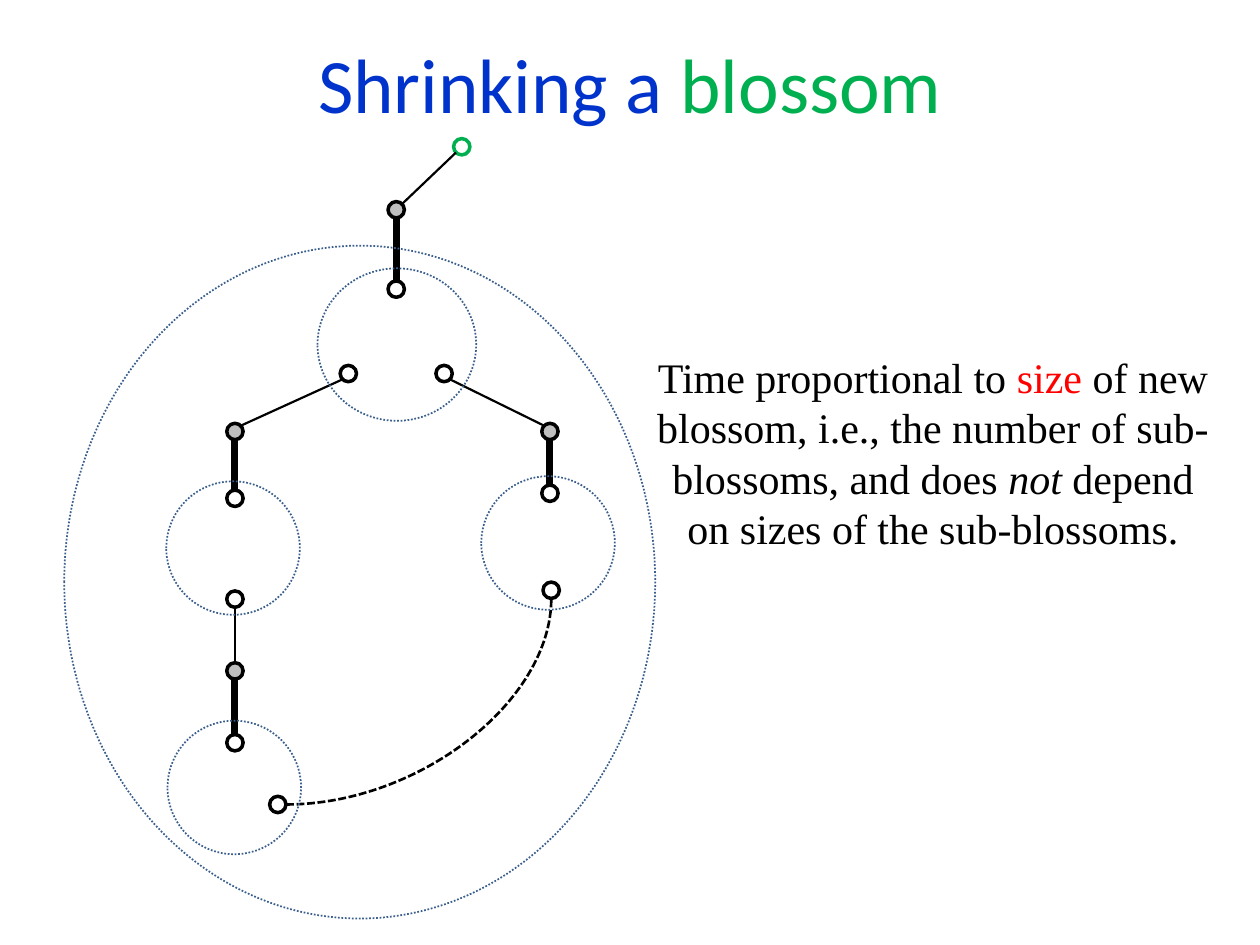
from math import hypot

from lxml.etree import SubElement
from pptx import Presentation
from pptx.dml.color import RGBColor
from pptx.enum.dml import MSO_LINE
from pptx.enum.shapes import MSO_CONNECTOR, MSO_SHAPE
from pptx.enum.text import MSO_ANCHOR, MSO_AUTO_SIZE, PP_ALIGN
from pptx.oxml.ns import qn
from pptx.util import Inches, Pt

WHITE = RGBColor(0xFF, 0xFF, 0xFF)
BLACK = RGBColor(0x00, 0x00, 0x00)
GRAY = RGBColor(0xBF, 0xBF, 0xBF)
GREEN = RGBColor(0x00, 0xB0, 0x50)
BLUE = RGBColor(0x00, 0x33, 0xCC)
RED = RGBColor(0xFF, 0x00, 0x00)
OUTLINE = RGBColor(0x3A, 0x5F, 0x8C)

NODE = 0.13  # node diameter in inches

# Positions in the tree, in inches from its top left corner
NODES = {
    "root": (3.09, 0, WHITE, GREEN),
    "stem": (2.57, 0.5, GRAY, BLACK),
    "base": (2.57, 1.13, WHITE, BLACK),
    "base left": (2.19, 1.8, WHITE, BLACK),
    "base right": (2.95, 1.8, WHITE, BLACK),
    "left outer": (1.29, 2.26, GRAY, BLACK),
    "left top": (1.29, 2.79, WHITE, BLACK),
    "left bottom": (1.29, 3.59, WHITE, BLACK),
    "low outer": (1.29, 4.16, GRAY, BLACK),
    "low top": (1.29, 4.73, WHITE, BLACK),
    "low exit": (1.63, 5.22, WHITE, BLACK),
    "right outer": (3.79, 2.26, GRAY, BLACK),
    "right top": (3.79, 2.75, WHITE, BLACK),
    "right bottom": (3.8, 3.52, WHITE, BLACK),
}
BLOSSOMS = [
    (0.81, 2.72, 1.06, 1.06),
    (2.01, 1.03, 1.26, 1.21),
    (0.82, 4.62, 1.06, 1.06),
    (3.31, 2.68, 1.06, 1.06),
    (0, 0.85, 4.69, 5.34),
]
# Upper node, lower node, horizontal direction from upper to lower
UNMATCHED = [
    ("root", "stem", -1),
    ("base right", "right outer", 1),
    ("base left", "left outer", -1),
    ("left bottom", "low outer", 0),
]
MATCHED = [
    ("stem", "base"),
    ("right outer", "right top"),
    ("left outer", "left top"),
    ("low outer", "low top"),
]


def write_text(shape, runs, font, size, margin=None):
    """Write centred runs of (text, colour, italic) that wrap in the shape."""
    frame = shape.text_frame
    frame.word_wrap = True
    frame.auto_size = MSO_AUTO_SIZE.SHAPE_TO_FIT_TEXT
    frame.vertical_anchor = MSO_ANCHOR.MIDDLE
    if margin is not None:
        frame.margin_left = frame.margin_right = margin
        frame.margin_top = frame.margin_bottom = margin
    paragraph = frame.paragraphs[0]
    paragraph.alignment = PP_ALIGN.CENTER
    for text, color, italic in runs:
        run = paragraph.add_run()
        run.text = text
        run.font.name = font
        run.font.size = Pt(size)
        run.font.italic = italic
        run.font.color.rgb = color


def add_circle(slide, left, top, width, height, line, weight, fill=None, dash=None):
    circle = slide.shapes.add_shape(MSO_SHAPE.OVAL, left, top, width, height)
    circle.shadow.inherit = False
    if fill is None:
        circle.fill.background()
    else:
        circle.fill.solid()
        circle.fill.fore_color.rgb = fill
    circle.line.color.rgb = line
    circle.line.width = Pt(weight)
    if dash:
        circle.line.dash_style = dash


def add_edge(slide, start, end, weight, kind=MSO_CONNECTOR.STRAIGHT):
    edge = slide.shapes.add_connector(kind, *start, *end)
    edge.line.color.rgb = BLACK
    edge.line.width = Pt(weight)
    SubElement(edge._element.spPr, qn("a:effectLst"))
    return edge


def add_title(slide, left, top, width, height):
    title = slide.shapes.add_textbox(left, top, width, height)
    runs = [("Shrinking a ", BLUE, False), ("blossom", GREEN, False)]
    write_text(title, runs, font="Calibri", size=44, margin=0)


def add_remark(slide, left, top, width, height):
    remark = slide.shapes.add_shape(MSO_SHAPE.RECTANGLE, left, top, width, height)
    remark.shadow.inherit = False
    remark.fill.solid()
    remark.fill.fore_color.rgb = WHITE
    remark.line.fill.background()
    runs = [
        ("Time proportional to ", BLACK, False),
        ("size", RED, False),
        (" of new blossom, i.e., the number of sub-blossoms, and does ", BLACK, False),
        ("not", BLACK, True),
        (" depend on sizes of the sub-blossoms.", BLACK, False),
    ]
    write_text(remark, runs, font="Times New Roman", size=24)


def add_tree(slide, left, top):
    def rim(name, dx, dy):
        """Point on a node's rim in the direction (dx, dy)."""
        x, y = NODES[name][:2]
        reach = NODE / 2 / hypot(dx, dy)
        return (left + Inches(x + NODE / 2 + dx * reach),
                top + Inches(y + NODE / 2 + dy * reach))

    # Nodes
    for x, y, fill, line in NODES.values():
        add_circle(slide, left + Inches(x), top + Inches(y),
                   Inches(NODE), Inches(NODE), line, 2, fill=fill)

    # Thin unmatched and thick matched edges
    for upper, lower, dx in UNMATCHED:
        add_edge(slide, rim(upper, dx, 1), rim(lower, -dx, -1), 1.25)
    for upper, lower in MATCHED:
        add_edge(slide, rim(upper, 0, 1), rim(lower, 0, -1), 4)

    # Dashed edge that closes the cycle: a quarter curve
    closing = add_edge(slide, rim("low exit", 1, 0), rim("right bottom", 0, 1),
                       1.5, MSO_CONNECTOR.CURVE)
    closing.line.dash_style = MSO_LINE.SQUARE_DOT
    closing._element.spPr.find(qn("a:prstGeom")).set("prst", "curvedConnector2")
    closing.line._ln.find(qn("a:prstDash")).set("val", "sysDash")

    # Sub-blossoms and the new blossom around them
    for x, y, width, height in BLOSSOMS:
        add_circle(slide, left + Inches(x), top + Inches(y), Inches(width),
                   Inches(height), OUTLINE, 1, dash=MSO_LINE.ROUND_DOT)


def main():
    deck = Presentation()
    deck.slide_width, deck.slide_height = Inches(10), Inches(7.5)
    slide = deck.slides.add_slide(deck.slide_layouts[6])
    add_title(slide, Inches(0), Inches(0.29), Inches(10), Inches(0.74))
    add_remark(slide, Inches(5.04), Inches(2.73), Inches(4.73), Inches(1.72))
    add_tree(slide, Inches(0.51), Inches(1.1))
    deck.save("out.pptx")


if __name__ == "__main__":
    main()
